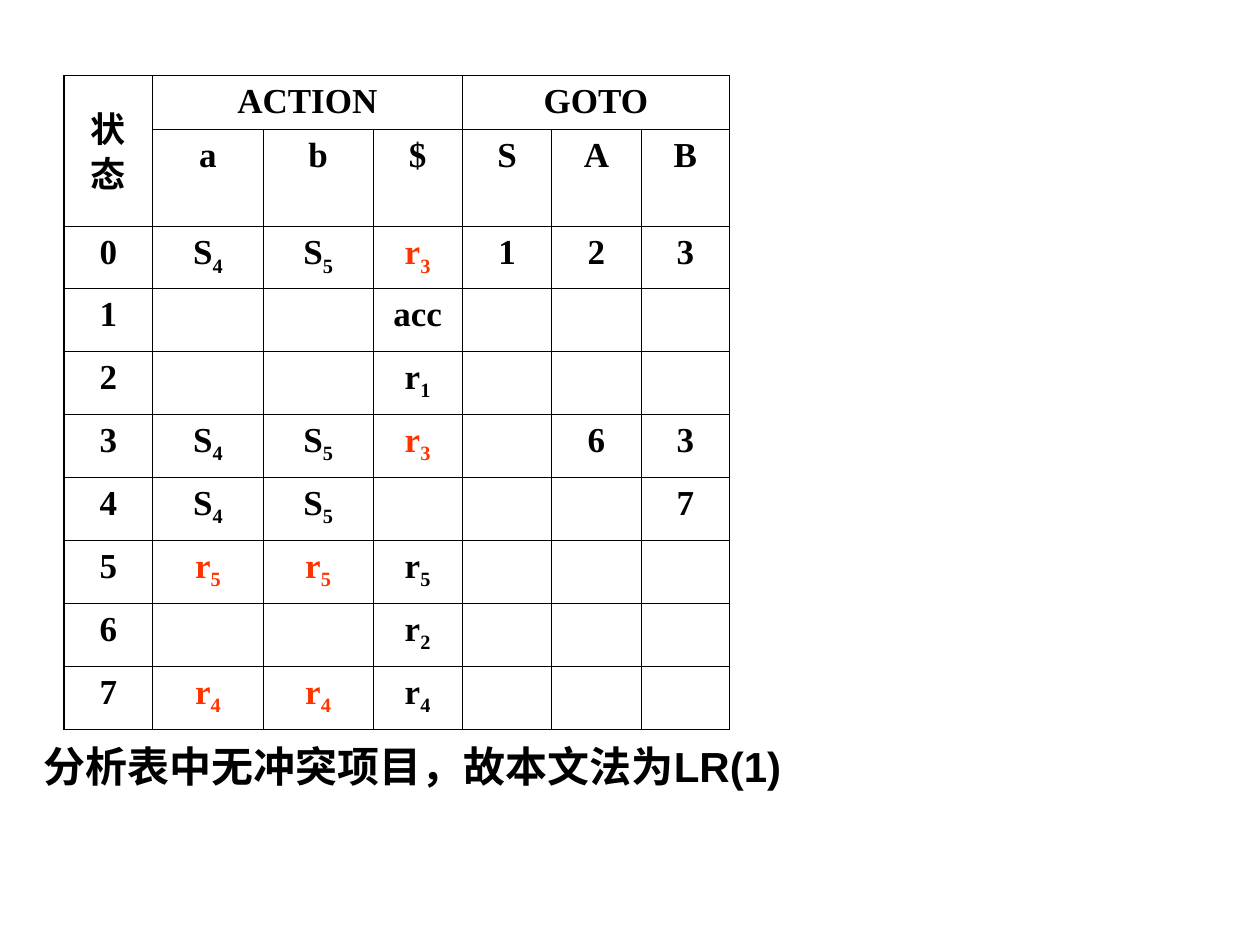
from lxml.etree import SubElement
from pptx import Presentation
from pptx.dml.color import RGBColor
from pptx.enum.text import MSO_ANCHOR, PP_ALIGN
from pptx.oxml.ns import qn
from pptx.util import Inches, Pt

BLACK = RGBColor(0x00, 0x00, 0x00)
RED = RGBColor(0xFF, 0x33, 0x00)

GROUPS = [("状态", 0, 0, 1, 0), ("ACTION", 0, 1, 0, 3), ("GOTO", 0, 4, 0, 6)]
SYMBOLS = ["", "a", "b", "$", "S", "A", "B"]
STATES = [
    ["0", "S4", "S5", "r3", "1", "2", "3"],
    ["1", "", "", "acc", "", "", ""],
    ["2", "", "", "r1", "", "", ""],
    ["3", "S4", "S5", "r3", "", "6", "3"],
    ["4", "S4", "S5", "", "", "", "7"],
    ["5", "r5", "r5", "r5", "", "", ""],
    ["6", "", "", "r2", "", "", ""],
    ["7", "r4", "r4", "r4", "", "", ""],
]
RED_CELLS = {(0, 3), (3, 3), (5, 1), (5, 2), (7, 1), (7, 2)}
CONCLUSION = "分析表中无冲突项目，故本文法为LR(1)"

COL_WIDTHS = [0.7, 0.88, 0.87, 0.71, 0.71, 0.71, 0.7]
ROW_HEIGHTS = [0.43, 0.77, 0.49] + [0.5] * 7
THIN, THICK = Pt(0.45), Pt(1.08)


def style(p, font, size, color=BLACK):
    p.font.name = font
    p.font.size = Pt(size)
    p.font.bold = True
    p.font.color.rgb = color


def write(cell, text, color=BLACK):
    p = cell.text_frame.paragraphs[0]
    p.alignment = PP_ALIGN.CENTER
    style(p, "Times New Roman", 20, color)
    has_index = len(text) == 2 and text[0] in "Sr"
    for i, part in enumerate(text if has_index else [text]):
        r = p.add_run()
        r.text = part
        if i:
            r._r.get_or_add_rPr().set("baseline", "-25000")


def draw_borders(cell, row, col):
    tcPr = cell._tc.get_or_add_tcPr()
    outer = {"lnL": col == 0, "lnR": col == len(COL_WIDTHS) - 1,
             "lnT": row == 0, "lnB": False}
    for side, thick in outer.items():
        ln = SubElement(tcPr, qn("a:" + side), w=str(THICK if thick else THIN))
        fill = SubElement(ln, qn("a:solidFill"))
        SubElement(fill, qn("a:srgbClr"), val=str(BLACK))
    cell.fill.background()


prs = Presentation()
prs.slide_width, prs.slide_height = Inches(10), Inches(7.5)
s = prs.slides.add_slide(prs.slide_layouts[6])

table = s.shapes.add_table(
    len(ROW_HEIGHTS), len(COL_WIDTHS), Inches(0.51), Inches(0.6),
    Inches(sum(COL_WIDTHS)), Inches(sum(ROW_HEIGHTS))).table
table.first_row = table.horz_banding = False
for column, width in zip(table.columns, COL_WIDTHS):
    column.width = Inches(width)
for row, height in zip(table.rows, ROW_HEIGHTS):
    row.height = Inches(height)

for i in range(len(ROW_HEIGHTS)):
    for j in range(len(COL_WIDTHS)):
        draw_borders(table.cell(i, j), i, j)

for text, top, left, bottom, right in GROUPS:
    table.cell(top, left).merge(table.cell(bottom, right))
    write(table.cell(top, left), text)
state_head = table.cell(0, 0)
state_head.vertical_anchor = MSO_ANCHOR.MIDDLE
state_head.margin_top = state_head.margin_bottom = 0
state_head.text_frame.paragraphs[0].line_spacing = 0.9

for i, values in enumerate([SYMBOLS] + STATES, start=1):
    for j, text in enumerate(values):
        if text:
            write(table.cell(i, j), text, RED if (i - 2, j) in RED_CELLS else BLACK)

tf = s.shapes.add_textbox(Inches(0.25), Inches(5.83), Inches(6.5), Inches(0.5)).text_frame
tf.word_wrap = True
p = tf.paragraphs[0]
p.text = CONCLUSION
style(p, "Arial", 24)

prs.save("out.pptx")
